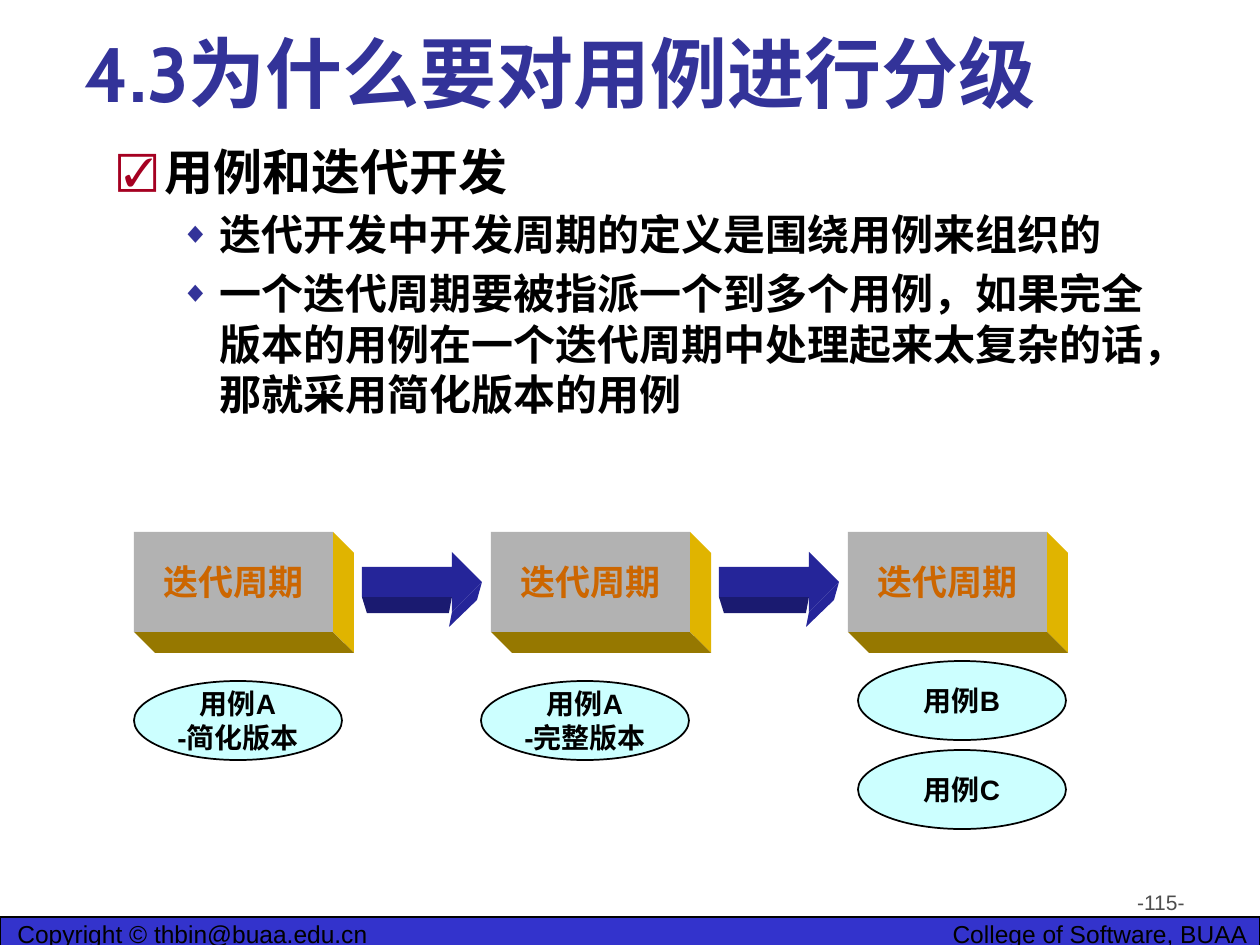
from lxml.etree import SubElement
from pptx import Presentation
from pptx.dml.color import RGBColor
from pptx.enum.shapes import MSO_SHAPE
from pptx.enum.text import MSO_ANCHOR, MSO_AUTO_SIZE, PP_ALIGN
from pptx.oxml.ns import qn
from pptx.util import Inches, Pt

PX = Inches(10) / 1260
INK = {
    "title": "333399", "text": "000000", "check": "A50021", "page": "4D4D4D",
    "bar": "3333CC", "front": "B2B2B2", "side": "E0B400", "base": "967800",
    "label": "CC6600", "arrow": "252599", "dark": "1A1A70", "case": "CCFFFF",
}


def px(*nums):
    return [round(n * PX) for n in nums]


def ink(name):
    return RGBColor.from_string(INK[name])


def paint(shape, fill, line=None, width=1):
    shape.shadow.inherit = False
    shape.fill.solid()
    shape.fill.fore_color.rgb = ink(fill)
    if line:
        shape.line.color.rgb = ink(line)
        shape.line.width = Pt(width)
    else:
        shape.line.fill.background()


def write(para, text, size, color, face="Arial", bold=False, align=None):
    para.alignment = align
    run = para.add_run()
    run.text = text
    run.font.size = Pt(size)
    run.font.name = face
    run.font.bold = bold
    run.font.color.rgb = ink(color)


def label(shape, lines, size, color):
    """Write bold centred lines inside a shape."""
    frame = shape.text_frame
    frame.word_wrap = False
    frame.vertical_anchor = MSO_ANCHOR.MIDDLE
    for i, line in enumerate(lines):
        para = frame.add_paragraph() if i else frame.paragraphs[0]
        write(para, line, size, color, bold=True, align=PP_ALIGN.CENTER)


def bullet(para, char, color, size, left, hang):
    props = para._p.get_or_add_pPr()
    props.set("marL", str(px(left)[0]))
    props.set("indent", str(px(-hang)[0]))
    tint = SubElement(props, qn("a:buClr"))
    SubElement(tint, qn("a:srgbClr")).set("val", INK[color])
    SubElement(props, qn("a:buSzPct")).set("val", str(size * 1000))
    SubElement(props, qn("a:buFont")).set("typeface", "Arial")
    SubElement(props, qn("a:buChar")).set("char", char)


def place(shape, box):
    shape.left, shape.top, shape.width, shape.height = px(*box)
    shape.text_frame.auto_size = MSO_AUTO_SIZE.NONE
    shape.text_frame.word_wrap = True
    return shape.text_frame


def head(slide, box):
    frame = place(slide.shapes.title, box)
    frame.vertical_anchor = MSO_ANCHOR.BOTTOM
    write(frame.paragraphs[0], "4.3为什么要对用例进行分级", 44, "title",
          "Cabin", True, PP_ALIGN.LEFT)


def points(slide, box):
    frame = place(slide.placeholders[1], box)
    items = [
        (0, "用例和迭代开发"),
        (1, "迭代开发中开发周期的定义是围绕用例来组织的"),
        (1, "一个迭代周期要被指派一个到多个用例，如果完全版本的用例在一个迭代周期中"
            "处理起来太复杂的话，那就采用简化版本的用例"),
    ]
    marks = [("☑", "check", 80, 47, 47), ("◆", "title", 70, 102, 39)]
    for i, (level, text) in enumerate(items):
        para = frame.add_paragraph() if i else frame.paragraphs[0]
        para.level = level
        para.space_before = Pt(5 if i else 0)
        bullet(para, *marks[level])
        write(para, text, (28, 24)[level], "text", "Cabin", True)


def face(slide, x, y, dots, fill):
    """Fill a polygon whose corners are relative to x, y."""
    spots = [(x + a, y + b) for a, b in dots]
    pen = slide.shapes.build_freeform(*spots[0], scale=PX)
    pen.add_line_segments(spots[1:], close=True)
    paint(pen.convert_to_shape(), fill)


def block(slide, box, deep=21):
    x, y, w, h = box
    face(slide, x, y, [(w, 0), (w + deep, deep), (w + deep, h + deep), (w, h)], "side")
    face(slide, x, y, [(0, h), (w, h), (w + deep, h + deep), (deep, h + deep)], "base")
    front = slide.shapes.add_shape(MSO_SHAPE.RECTANGLE, *px(*box))
    paint(front, "front")
    label(front, ["迭代周期"], 20, "label")


def arrow(slide, box, deep=16):
    x, y, w, h = box
    neck, low = w - h // 2, h * 3 // 4
    face(slide, x, y, [(neck, h), (w, h // 2), (w - 5, h // 2 + deep + 2),
                       (neck - 3, h + deep - 1)], "arrow")
    face(slide, x, y, [(0, low), (neck, low), (neck - 3, low + deep),
                       (5, low + deep)], "dark")
    paint(slide.shapes.add_shape(MSO_SHAPE.RIGHT_ARROW, *px(*box)), "arrow")


def case(slide, box, lines):
    oval = slide.shapes.add_shape(MSO_SHAPE.OVAL, *px(*box))
    paint(oval, "case", "text")
    label(oval, lines, 16, "text")


def flow(slide, x, y):
    """Draw the three cycles, the arrows between them and their use cases."""
    step = 357
    for i in range(3):
        block(slide, (x + i * step, y, 199, 100))
    for i in range(2):
        arrow(slide, (x + 228 + i * step, y + 20, 120, 60))
    cases = [
        (0, 149, ["用例A", "-简化版本"]),
        (347, 149, ["用例A", "-完整版本"]),
        (724, 129, ["用例B"]),
        (724, 218, ["用例C"]),
    ]
    for dx, dy, lines in cases:
        case(slide, (x + dx, y + dy, 208, 79), lines)


def note(slide, box, text, size, color, align):
    frame = place(slide.shapes.add_textbox(*px(*box)), box)
    write(frame.paragraphs[0], text, size, color, align=align)


def foot(slide, x, y, w):
    bar = slide.shapes.add_shape(MSO_SHAPE.RECTANGLE, *px(x, y, w, 32))
    paint(bar, "bar", "text", 0.75)
    note(slide, (x + 5, y - 4, 441, 42), "Copyright © thbin@buaa.edu.cn",
         14, "text", PP_ALIGN.LEFT)
    note(slide, (x + w - 441, y - 4, 441, 42), "College of Software, BUAA",
         14, "text", PP_ALIGN.RIGHT)
    note(slide, (x + 903, y - 34, 294, 66), "-115-", 12, "page", PP_ALIGN.RIGHT)


def main():
    deck = Presentation()
    deck.slide_width, deck.slide_height = px(1260, 945)
    slide = deck.slides.add_slide(deck.slide_layouts[1])
    foot(slide, 0, 917, 1260)
    head(slide, (72, 35, 1091, 89))
    points(slide, (105, 135, 1091, 359))
    flow(slide, 134, 532)
    deck.save("out.pptx")


if __name__ == "__main__":
    main()
